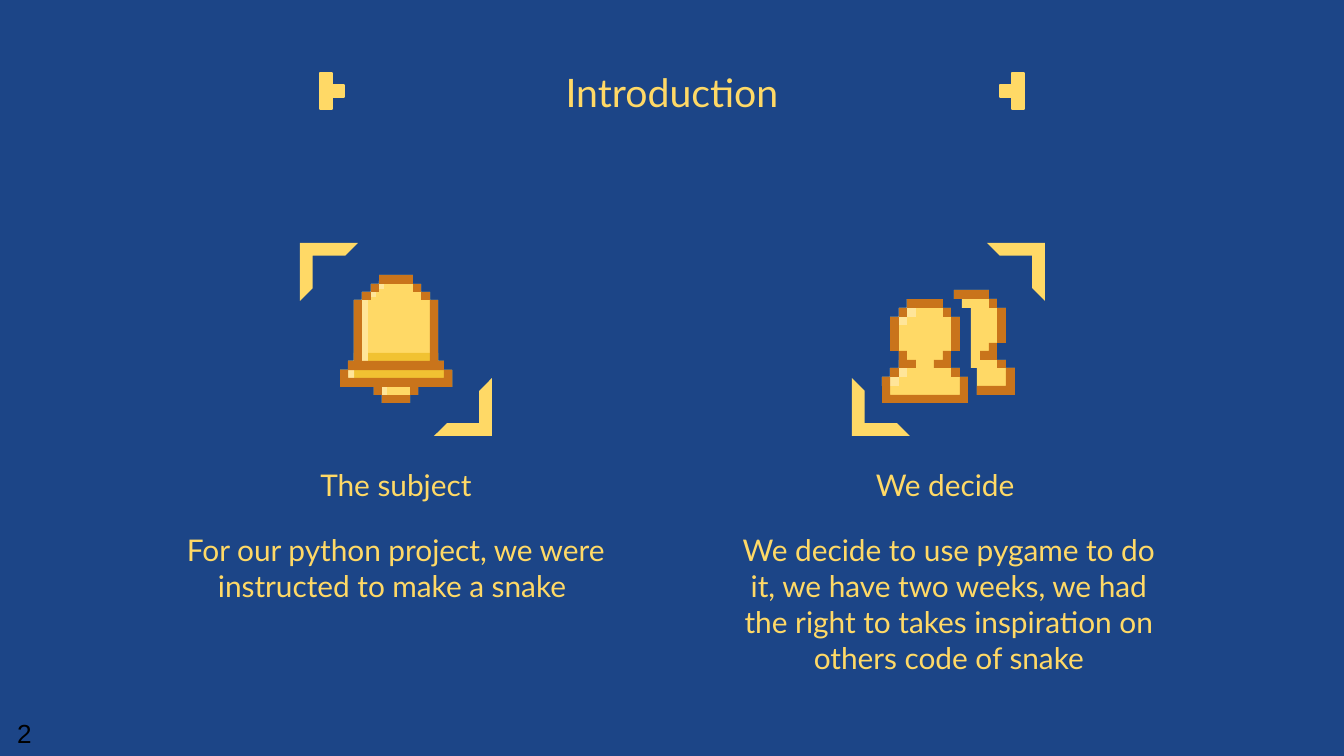
import pptx
import pptx.dml.color
import pptx.enum.shapes
import pptx.enum.text
import pptx.util

PX = 914400 / 134.4
BLUE, GOLD, AMBER, CREAM, RUST = "1C4587", "FFD966", "F1C232", "FFE599", "C9741B"
SHAPE = pptx.enum.shapes.MSO_SHAPE
ANCHOR = pptx.enum.text.MSO_ANCHOR

TITLE = "Introduction"
COLUMNS = [
    (169, "The subject", "For our python project, we were instructed to make a snake "),
    (722, "We decide ", "We decide to use pygame to do it, we have two weeks, "
     "we had the right to takes inspiration on others code of snake"),
]

# Each part is (colour, mode, outline). An outline is x, y, then y, x, y, x ...
# one: drawn as given; pair: drawn with its mirror twin; half: joined to its mirror.
BELL_AXIS = 396
BELL = [
    (GOLD, "half", [379, 275, 284, 371, 292, 362, 300, 354, 361, 348, 370, 340,
                    387, 374, 395, 382, 403]),
    (AMBER, "half", [354, 353, 361, 348, 370, 340, 387]),
    (CREAM, "one", [379, 281, 284, 371, 292, 362, 300, 354, 361, 368, 300, 371,
                    297, 376, 292, 379, 289, 384]),
    (CREAM, "one", [348, 361, 370, 340, 387, 354]),
    (CREAM, "one", [374, 383, 395, 382, 403, 387]),
    (RUST, "pair", [362, 292, 300, 371]),
    (RUST, "pair", [371, 284, 292, 379]),
    (RUST, "half", [362, 361, 300, 354, 361, 348, 370]),
    (RUST, "one", [382, 395, 403, 410]),
    (RUST, "one", [379, 275, 284, 413]),
    (RUST, "half", [348, 378, 370, 340, 387, 374, 395, 382, 387]),
]
PEOPLE_AXIS = 925
PEOPLE = [
    (GOLD, "half", [907, 299, 308, 899, 317, 890, 351, 899, 368, 890, 377, 882, 403]),
    (CREAM, "one", [907, 299, 308, 899, 317, 890, 325, 907, 317, 916]),
    (CREAM, "one", [899, 360, 368, 890, 377, 882, 386, 899, 377, 907]),
    (GOLD, "one", [954, 290, 299, 962, 308, 971, 368, 977, 395, 1015, 368, 1006,
                   360, 997, 343, 1006, 308, 997, 299, 989]),
    (RUST, "pair", [890, 317, 351, 899]),
    (RUST, "one", [907, 299, 308, 943]),
    (RUST, "pair", [899, 308, 317, 907]),
    (RUST, "pair", [899, 351, 368, 916, 360, 907]),
    (RUST, "pair", [890, 368, 377, 899]),
    (RUST, "half", [890, 395, 377, 882, 403]),
    (RUST, "one", [997, 308, 343, 1006]),
    (RUST, "one", [954, 290, 299, 989]),
    (RUST, "one", [989, 299, 308, 997]),
    (RUST, "one", [989, 343, 351, 980, 360, 997]),
    (RUST, "one", [997, 360, 368, 1006]),
    (RUST, "one", [1006, 368, 386, 977, 395, 1015]),
]
FRAME = 58
CORNERS = [(300, 243, 0), (434, 378, 180), (987, 243, 90), (852, 378, 270)]
CELL = 12
KNOB = [(0, 0), (0, 1), (0, 2), (1, 1)]


def emu(px):
    return round(px * PX)


def rgb(code):
    return pptx.dml.color.RGBColor.from_string(code)


def paint(shape, fill, line=None):
    shape.shadow.inherit = False
    shape.fill.solid()
    shape.fill.fore_color.rgb = rgb(fill)
    if line:
        shape.line.color.rgb = rgb(line)
        shape.line.width = pptx.util.Pt(0.75)
    else:
        shape.line.fill.background()


def add_text(slide, box, text, size, anchor=ANCHOR.TOP, font="Lato", color=GOLD, pad=(13, 13)):
    shape = slide.shapes.add_textbox(*map(emu, box))
    frame = shape.text_frame
    frame.text = text
    frame.word_wrap = True
    frame.vertical_anchor = anchor
    frame.margin_left = frame.margin_right = emu(pad[0])
    frame.margin_top = frame.margin_bottom = emu(pad[1])
    line = frame.paragraphs[0]
    line.alignment = pptx.enum.text.PP_ALIGN.CENTER
    style = line.runs[0].font
    style.name, style.size = font, pptx.util.Pt(size)
    style.color.rgb = rgb(color)
    return shape


def trace(outline):
    """Turn alternating y and x steps into corner points."""
    x, y, *steps = outline
    points = [(x, y)]
    for i, step in enumerate(steps):
        x, y = (x, step) if i % 2 == 0 else (step, y)
        points.append((x, y))
    return points


def add_icon(slide, parts, axis):
    group = slide.shapes.add_group_shape()
    for color, mode, outline in parts:
        points = trace(outline)
        if mode != "half":
            points.append((points[-1][0], points[0][1]))
        twin = [(2 * axis - x, y) for x, y in reversed(points)]
        loops = {"one": [points], "pair": [points, twin], "half": [points + twin]}
        for loop in loops[mode]:
            pen = group.shapes.build_freeform(*loop[0], scale=PX)
            pen.add_line_segments(loop[1:], close=True)
            paint(pen.convert_to_shape(), color)


def add_knob(slide, left, step):
    group = slide.shapes.add_group_shape()
    for col, row in KNOB:
        box = (left + step * col, 73 + CELL * row, CELL, CELL)
        paint(group.shapes.add_shape(SHAPE.RECTANGLE, *map(emu, box)), GOLD, GOLD)


def main():
    deck = pptx.Presentation()
    deck.slide_width, deck.slide_height = emu(1344), emu(756)
    slide = deck.slides.add_slide(deck.slide_layouts[6])
    slide.background.fill.solid()
    slide.background.fill.fore_color.rgb = rgb(BLUE)

    add_text(slide, (46, 43, 1252, 85), TITLE, 21, ANCHOR.BOTTOM)
    for left, head, body in COLUMNS:
        add_text(slide, (left, 458, 454, 58), head, 16, ANCHOR.BOTTOM)
        add_text(slide, (left, 519, 454, 163), body, 16)

    add_knob(slide, 320, CELL)
    add_knob(slide, 1012, -CELL)
    add_icon(slide, BELL, BELL_AXIS)
    add_icon(slide, PEOPLE, PEOPLE_AXIS)

    for left, top, turn in CORNERS:
        corner = slide.shapes.add_shape(SHAPE.HALF_FRAME, *map(emu, (left, top, FRAME, FRAME)))
        corner.adjustments[0] = corner.adjustments[1] = 0.22
        corner.rotation = turn
        paint(corner, GOLD)

    page = add_text(slide, (-12, 710, 73, 47), "2", 14, font="Arial", color="000000", pad=(13, 7))
    page.text_frame.paragraphs[0].space_after = pptx.util.Pt(16)
    deck.save("out.pptx")


if __name__ == "__main__":
    main()
